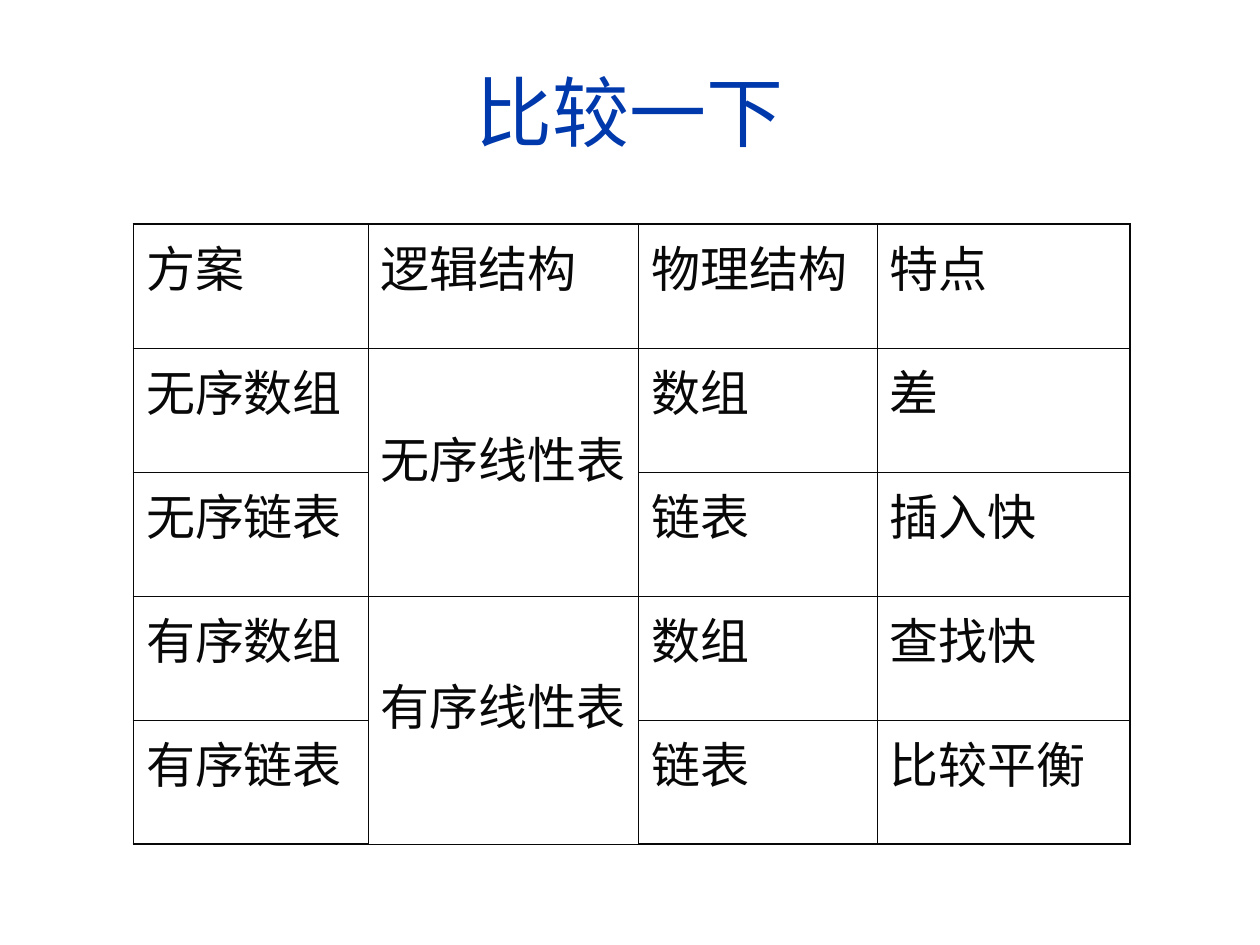
from dataclasses import dataclass

from lxml import etree
from pptx import Presentation
from pptx.dml.color import RGBColor
from pptx.enum.text import MSO_ANCHOR, PP_ALIGN
from pptx.oxml.ns import qn
from pptx.util import Inches, Pt

MIDDLE, TOP = MSO_ANCHOR.MIDDLE, MSO_ANCHOR.TOP
CENTER = PP_ALIGN.CENTER
TITLE_ONLY = 5


@dataclass(frozen=True)
class Theme:
    """Colours, type sizes and line widths of the slide."""
    font: str = "Arial"
    title: str = "0039AC"
    ink: str = "080808"
    title_size: int = 44
    cell_size: int = 28
    outer: float = 1.08
    inner: float = 0.45


THEME = Theme()
COLUMNS = [1.86, 2.15, 1.89, 2.01]
ROWS = [
    ["方案", "逻辑结构", "物理结构", "特点"],
    ["无序数组", "无序线性表", "数组", "差"],
    ["无序链表", "", "链表", "插入快"],
    ["有序数组", "有序线性表", "数组", "查找快"],
    ["有序链表", "", "链表", "比较平衡"],
]
MERGED_ROWS = [(1, 2), (3, 4)]
MERGED_COLUMN = 1
MERGED_TOP = 0.58


def add_run(p, text, size, color):
    """Add one styled run to a paragraph."""
    r = p.add_run()
    r.text = text
    r.font.name = THEME.font
    r.font.size = Pt(size)
    r.font.color.rgb = RGBColor.from_string(color)


def add_title(s, text, box):
    """Place the title placeholder in the box and write its text."""
    sp = s.shapes.title
    sp.left, sp.top, sp.width, sp.height = map(Inches, box)
    tf = sp.text_frame
    tf.vertical_anchor = MIDDLE
    tf.paragraphs[0].alignment = CENTER
    add_run(tf.paragraphs[0], text, THEME.title_size, THEME.title)


def set_borders(cell, widths):
    """Draw the left, right, top and bottom borders of a cell."""
    tcPr = cell._tc.get_or_add_tcPr()
    for i, (side, width) in enumerate(zip("LRTB", widths)):
        ln = etree.Element(qn(f"a:ln{side}"), w=str(int(Pt(width))))
        fill = etree.SubElement(ln, qn("a:solidFill"))
        etree.SubElement(fill, qn("a:srgbClr"), val=THEME.ink)
        tcPr.insert(i, ln)


def add_comparison(s, rows, columns, box):
    """Fill the box with the ruled comparison table."""
    n_rows, n_cols = len(rows), len(columns)
    table = s.shapes.add_table(n_rows, n_cols, *map(Inches, box)).table
    table.first_row = table.horz_banding = False
    for column, width in zip(table.columns, columns):
        column.width = Inches(width)
    for i, texts in enumerate(rows):
        table.rows[i].height = Inches(box[3] / n_rows)
        for j, text in enumerate(texts):
            cell = table.cell(i, j)
            cell.fill.background()
            cell.vertical_anchor = TOP
            edges = (j == 0, j == n_cols - 1, i == 0, i == n_rows - 1)
            set_borders(cell, [THEME.outer if e else THEME.inner for e in edges])
            if text:
                add_run(cell.text_frame.paragraphs[0], text,
                        THEME.cell_size, THEME.ink)
    for first, last in MERGED_ROWS:
        cell = table.cell(first, MERGED_COLUMN)
        cell.merge(table.cell(last, MERGED_COLUMN))
        cell.margin_top = Inches(MERGED_TOP)


def main():
    """Build and save the slide."""
    prs = Presentation()
    prs.slide_width, prs.slide_height = Inches(10), Inches(7.5)
    s = prs.slides.add_slide(prs.slide_layouts[TITLE_ONLY])
    add_title(s, "比较一下", (0.33, 0.25, 9.34, 1.25))
    add_comparison(s, ROWS, COLUMNS, (1.06, 1.78, sum(COLUMNS), 4.92))
    prs.save("out.pptx")


if __name__ == "__main__":
    main()
